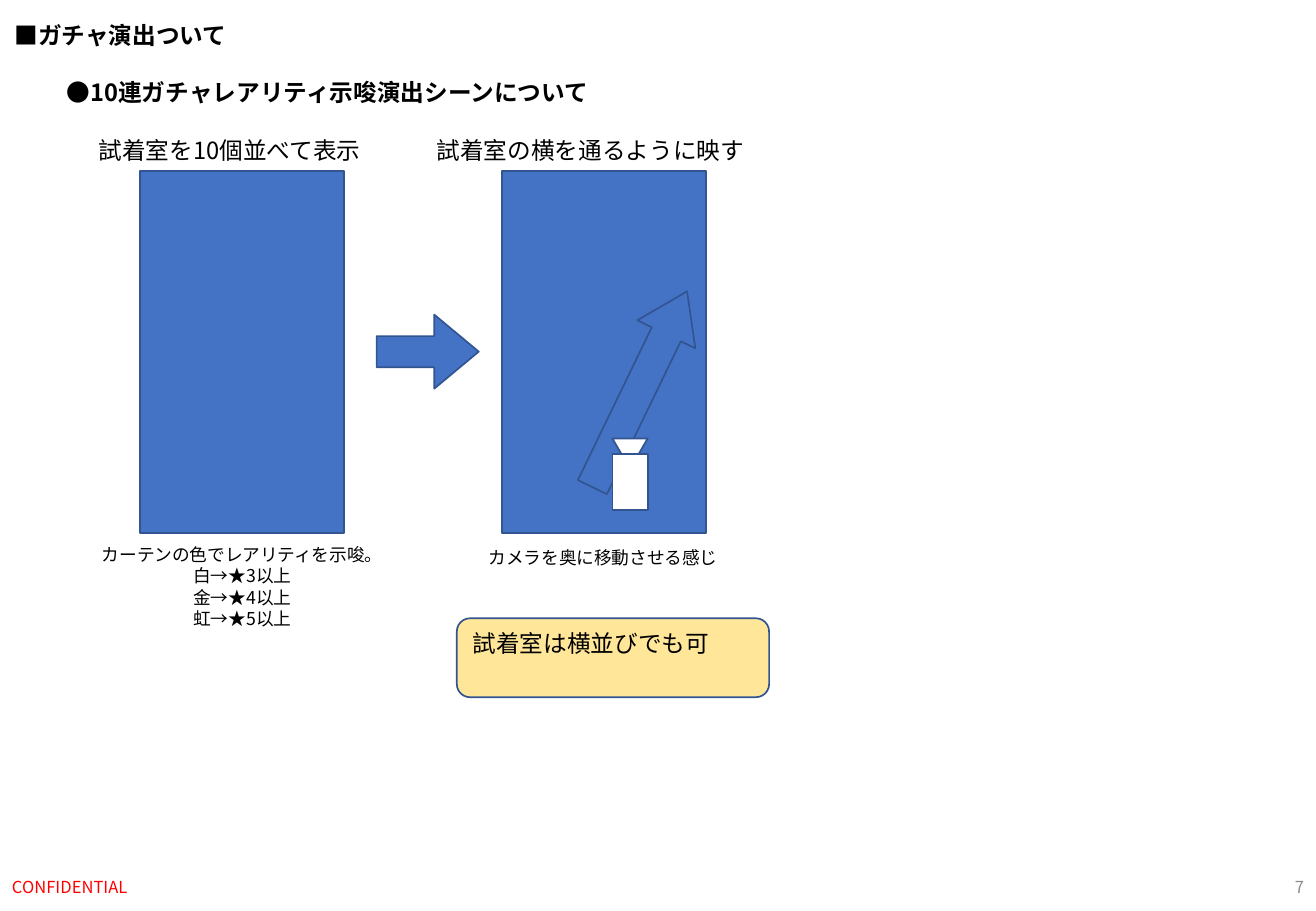
"""Build the slide on the gacha rarity staging scene."""
from dataclasses import dataclass

from lxml import etree
from pptx import Presentation
from pptx.dml.color import RGBColor
from pptx.enum.shapes import MSO_SHAPE
from pptx.enum.text import MSO_ANCHOR, PP_ALIGN
from pptx.oxml.ns import qn
from pptx.slide import Slide
from pptx.util import Inches, Pt

RECTANGLE = MSO_SHAPE.RECTANGLE
ROUNDED = MSO_SHAPE.ROUNDED_RECTANGLE
TRIANGLE = MSO_SHAPE.ISOSCELES_TRIANGLE
RIGHT_ARROW = MSO_SHAPE.RIGHT_ARROW
LEFT, CENTER, RIGHT = PP_ALIGN.LEFT, PP_ALIGN.CENTER, PP_ALIGN.RIGHT
TOP, MIDDLE = MSO_ANCHOR.TOP, MSO_ANCHOR.MIDDLE

FONT = "Noto Sans CJK JP"
BLACK = RGBColor(0x00, 0x00, 0x00)
WHITE = RGBColor(0xFF, 0xFF, 0xFF)
RED = RGBColor(0xFF, 0x00, 0x00)
GRAY = RGBColor(0x8C, 0x8C, 0x8C)
BLUE = RGBColor(0x44, 0x72, 0xC4)
OUTLINE = RGBColor(0x32, 0x54, 0x91)
YELLOW = RGBColor(0xFF, 0xE6, 0x99)

Box = tuple[float, float, float, float]


@dataclass(frozen=True)
class Scene:
    """A phone screen with its heading and caption."""
    screen_left: float
    heading_left: float
    heading: str
    caption_left: float
    caption_top: float
    caption: str


@dataclass(frozen=True)
class Figure:
    """An outlined preset shape."""
    kind: MSO_SHAPE
    box: Box
    fill: RGBColor = BLUE
    rotation: float = 0
    adjustments: tuple[float, ...] = ()


SCENES = (
    Scene(1.15, 0.51, "試着室を10個並べて表示", 0.71, 4.43,
          "カーテンの色でレアリティを示唆。\n白→★3以上\n金→★4以上\n虹→★5以上"),
    Scene(4.13, 3.48, "試着室の横を通るように映す", 3.68, 4.45,
          "カメラを奥に移動させる感じ"),
)

FIGURES = (
    Figure(RIGHT_ARROW, (4.37, 2.94, 1.79, 0.53), rotation=295.8, adjustments=(0.5, 0.74)),
    Figure(TRIANGLE, (5.04, 3.61, 0.29, 0.25), WHITE, rotation=180),
    Figure(RECTANGLE, (5.04, 3.74, 0.29, 0.46), WHITE),
    Figure(RIGHT_ARROW, (3.1, 2.59, 0.84, 0.61), adjustments=(0.42, 0.6)),
    Figure(ROUNDED, (3.76, 5.09, 2.57, 0.65), YELLOW),
)


def add_text(slide: Slide, box: Box, text: str, *, size: float = 14,
             color: RGBColor = BLACK, bold: bool = False,
             align: PP_ALIGN = LEFT, anchor: MSO_ANCHOR = TOP) -> None:
    """Add a text box with one paragraph per line of text."""
    frame = slide.shapes.add_textbox(*map(Inches, box)).text_frame
    frame.word_wrap = True
    frame.vertical_anchor = anchor
    frame.text = text
    for paragraph in frame.paragraphs:
        paragraph.alignment = align
        for run in paragraph.runs:
            run.font.size = Pt(size)
            run.font.bold = bold
            run.font.color.rgb = color
            run.font.name = FONT
            properties = run._r.get_or_add_rPr()
            etree.SubElement(properties, qn("a:ea"), typeface=FONT)


def add_figure(slide: Slide, figure: Figure) -> None:
    """Draw one outlined preset shape."""
    shape = slide.shapes.add_shape(figure.kind, *map(Inches, figure.box))
    shape.shadow.inherit = False
    shape.fill.solid()
    shape.fill.fore_color.rgb = figure.fill
    shape.line.color.rgb = OUTLINE
    shape.line.width = Pt(1)
    shape.rotation = figure.rotation
    for index, value in enumerate(figure.adjustments):
        shape.adjustments[index] = value


def add_scene(slide: Slide, scene: Scene) -> None:
    """Draw a screen with its heading and caption."""
    add_text(slide, (scene.heading_left, 1.07, 2.76, 0.34), scene.heading, align=CENTER)
    height = 0.28 + 0.18 * scene.caption.count("\n")
    add_text(slide, (scene.caption_left, scene.caption_top, 2.57, height),
             scene.caption, size=10.5, align=CENTER)
    add_figure(slide, Figure(RECTANGLE, (scene.screen_left, 1.41, 1.68, 2.98)))


def main() -> None:
    """Build and save the presentation."""
    presentation = Presentation()
    presentation.slide_width = Inches(10.83)
    presentation.slide_height = Inches(7.5)
    slide = presentation.slides.add_slide(presentation.slide_layouts[6])

    add_text(slide, (0.02, 0.12, 4.79, 0.34), "■ガチャ演出ついて", bold=True)
    add_text(slide, (0.45, 0.59, 4.79, 0.34),
             "●10連ガチャレアリティ示唆演出シーンについて", bold=True)
    add_text(slide, (0, 7.1, 3.38, 0.4), "CONFIDENTIAL", size=9.8, color=RED, anchor=MIDDLE)
    add_text(slide, (8.58, 7.1, 2.25, 0.4), "7", size=9.8, color=GRAY,
             align=RIGHT, anchor=MIDDLE)

    for scene in SCENES:
        add_scene(slide, scene)
    for figure in FIGURES:
        add_figure(slide, figure)
    add_text(slide, (3.79, 5.13, 2.27, 0.34), "試着室は横並びでも可")

    presentation.save("out.pptx")


if __name__ == "__main__":
    main()
